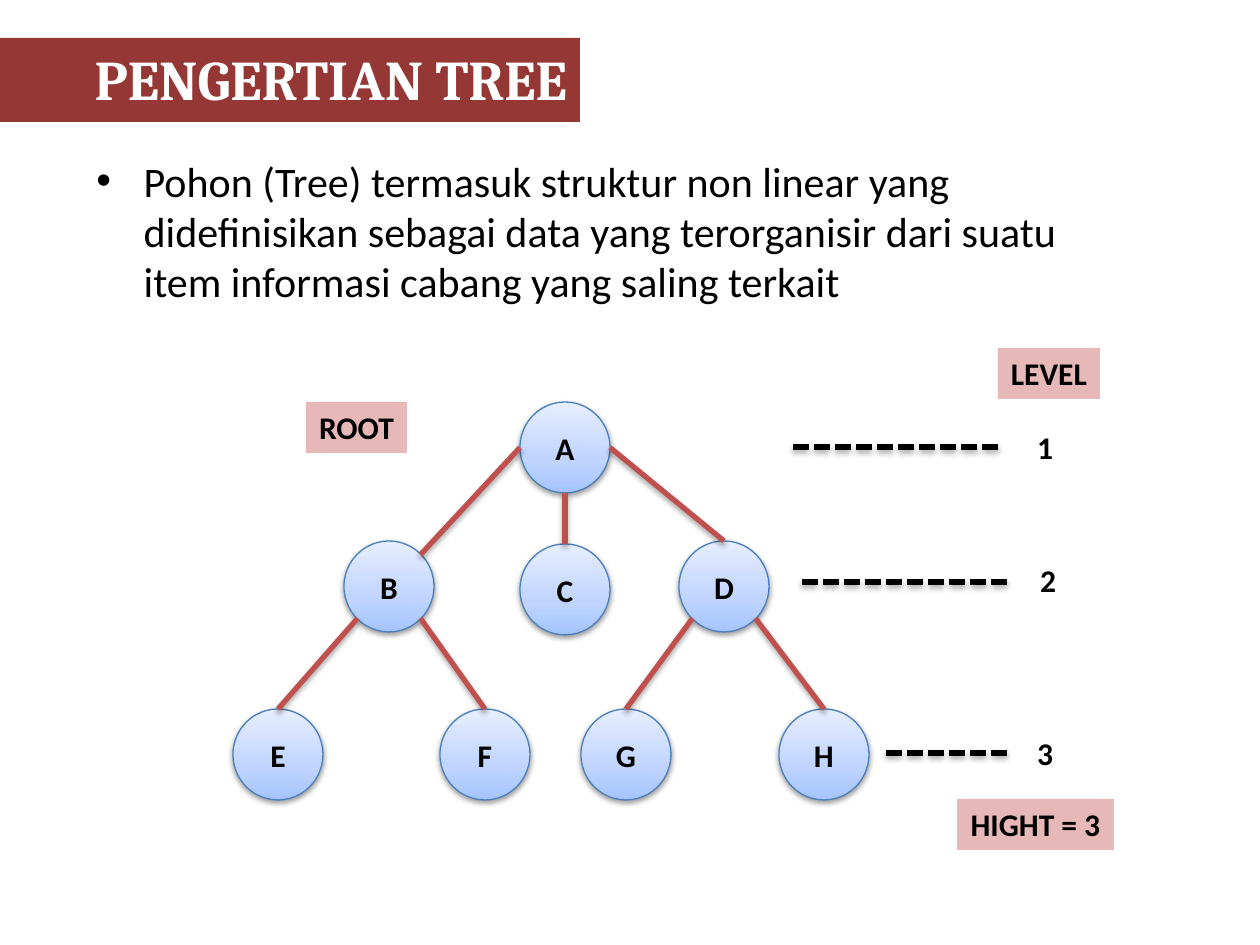
from copy import deepcopy

from lxml.etree import SubElement
from pptx import Presentation
from pptx.dml.color import RGBColor
from pptx.enum.dml import MSO_LINE
from pptx.enum.shapes import MSO_CONNECTOR, MSO_SHAPE
from pptx.enum.text import MSO_ANCHOR, MSO_AUTO_SIZE, PP_ALIGN
from pptx.oxml.ns import qn
from pptx.util import Emu, Pt

EMU_PER_PX = 914400 / 126

# Points on a node's outline, as fractions of its width and height
SITES = {
    "top": (0.5, 0), "bottom": (0.5, 1), "left": (0, 0.5), "right": (1, 0.5),
    "top right": (0.85, 0.15),
    "bottom left": (0.15, 0.85), "bottom right": (0.85, 0.85),
}

NODES = {
    "A": (520, 402),
    "B": (344, 541), "C": (520, 544), "D": (679, 541),
    "E": (233, 709), "F": (440, 709), "G": (581, 709), "H": (779, 709),
}
BRANCHES = [
    ("A", "left", "B", "top right"),
    ("A", "bottom", "C", "top"),
    ("A", "right", "D", "top"),
    ("B", "bottom left", "E", "top"),
    ("B", "bottom right", "F", "top"),
    ("D", "bottom left", "G", "top"),
    ("D", "bottom right", "H", "top"),
]
TAGS = [("LEVEL", 998, 348, 102), ("ROOT", 306, 402, 101), ("HIGHT = 3", 957, 799, 157)]
# Level number, its left and top, then the dashed line's right, left and height
LEVELS = [
    ("1", 1024, 422, 998, 791, 447),
    ("2", 1027, 555, 1007, 800, 582),
    ("3", 1024, 728, 1007, 886, 753),
]


def px(*lengths):
    return [Emu(round(length * EMU_PER_PX)) for length in lengths]


def color(hex_string):
    return RGBColor.from_string(hex_string)


def write(frame, text, size=18, font="Calibri", fill="000000", bold=True,
          align=PP_ALIGN.CENTER, anchor=MSO_ANCHOR.TOP, wrap=True,
          auto_size=MSO_AUTO_SIZE.NONE):
    frame.word_wrap = wrap
    frame.auto_size = auto_size
    frame.vertical_anchor = anchor
    paragraph = frame.paragraphs[0]
    paragraph.alignment = align
    run = paragraph.add_run()
    run.text = text
    run.font.size, run.font.name, run.font.bold = Pt(size), font, bold
    run.font.color.rgb = color(fill)
    return paragraph


def add_shadow(shape, distance, opacity):
    effects = SubElement(shape._element.spPr, qn("a:effectLst"))
    shadow = SubElement(effects, qn("a:outerShdw"), blurRad="40000", dist=str(distance),
                        dir="5400000", rotWithShape="0")
    black = SubElement(shadow, qn("a:srgbClr"), val="000000")
    SubElement(black, qn("a:alpha"), val=str(opacity * 1000))


class TreeSlide:
    node_size = (90, 91)
    node_stops = [(0, "A4C4FF"), (0.35, "BFD4FF"), (1, "E6EEFF")]
    node_line = "4B7EBC"
    branch_color = "C0504D"
    banner_color = "953735"
    tag_color = "E6B9B8"
    label_height = 51

    def __init__(self, presentation):
        self.slide = presentation.slides.add_slide(presentation.slide_layouts[5])
        self.shapes = self.slide.shapes

    def title(self, text, *box):
        title = self.shapes.title
        title.left, title.top, title.width, title.height = px(*box)
        title.fill.solid()
        title.fill.fore_color.rgb = color(self.banner_color)
        write(title.text_frame, text, size=32, font="Cambria", fill="FFFFFF",
              align=PP_ALIGN.RIGHT)

    def bullet(self, text, *box):
        frame = self.shapes.add_textbox(*px(*box)).text_frame
        paragraph = write(frame, text, size=24, bold=False, align=PP_ALIGN.LEFT)
        properties = paragraph._p.get_or_add_pPr()
        properties.set("marL", "342900")
        properties.set("indent", "-342900")
        SubElement(properties, qn("a:buFont"), typeface="Arial")
        SubElement(properties, qn("a:buChar"), char="•")

    def node(self, text, left, top):
        node = self.shapes.add_shape(MSO_SHAPE.OVAL, *px(left, top, *self.node_size))
        node.fill.gradient()
        node.fill.gradient_angle = 90
        stop_list = node._element.spPr.find(".//" + qn("a:gsLst"))
        stop_list.append(deepcopy(stop_list[-1]))
        for stop, (position, stop_color) in zip(node.fill.gradient_stops, self.node_stops):
            stop.position = position
            stop.color.rgb = color(stop_color)
        node.line.color.rgb = color(self.node_line)
        node.line.width = Pt(0.75)
        add_shadow(node, 20000, 38)
        write(node.text_frame, text, anchor=MSO_ANCHOR.MIDDLE)
        return node

    def line(self, start, end, line_color, dash=None):
        line = self.shapes.add_connector(MSO_CONNECTOR.STRAIGHT, *px(*start, *end))
        line.line.color.rgb = color(line_color)
        line.line.width = Pt(3)
        if dash:
            line.line.dash_style = dash
        add_shadow(line, 23000, 35)
        return line

    def branch(self, nodes, parent, parent_site, child, child_site):
        ends = [
            [corner + size * part for corner, size, part
             in zip(NODES[name], self.node_size, SITES[site])]
            for name, site in ((parent, parent_site), (child, child_site))
        ]
        line = self.line(*ends, self.branch_color)
        if child_site == "top":
            line.end_connect(nodes[child], 0)

    def label(self, text, left, top, width, fill=None):
        label = self.shapes.add_textbox(*px(left, top, width, self.label_height))
        if fill:
            label.fill.solid()
            label.fill.fore_color.rgb = color(fill)
        write(label.text_frame, text, wrap=False, auto_size=MSO_AUTO_SIZE.SHAPE_TO_FIT_TEXT)


def main():
    presentation = Presentation()
    presentation.slide_width, presentation.slide_height = px(1260, 945)
    slide = TreeSlide(presentation)

    # Heading and definition
    slide.title("PENGERTIAN TREE", -94, 38, 674, 84)
    slide.bullet("Pohon (Tree) termasuk struktur non linear yang didefinisikan sebagai data "
                 "yang terorganisir dari suatu item informasi cabang yang saling terkait",
                 84, 149, 1062, 165)

    # Tree
    nodes = {name: slide.node(name, *corner) for name, corner in NODES.items()}
    for branch in BRANCHES:
        slide.branch(nodes, *branch)

    # Tags and levels
    for tag in TAGS:
        slide.label(*tag, fill=slide.tag_color)
    for number, left, top, line_right, line_left, line_y in LEVELS:
        slide.line((line_right, line_y), (line_left, line_y), "000000",
                   dash=MSO_LINE.SQUARE_DOT)
        slide.label(number, left, top, 42)

    presentation.save("out.pptx")


if __name__ == "__main__":
    main()
